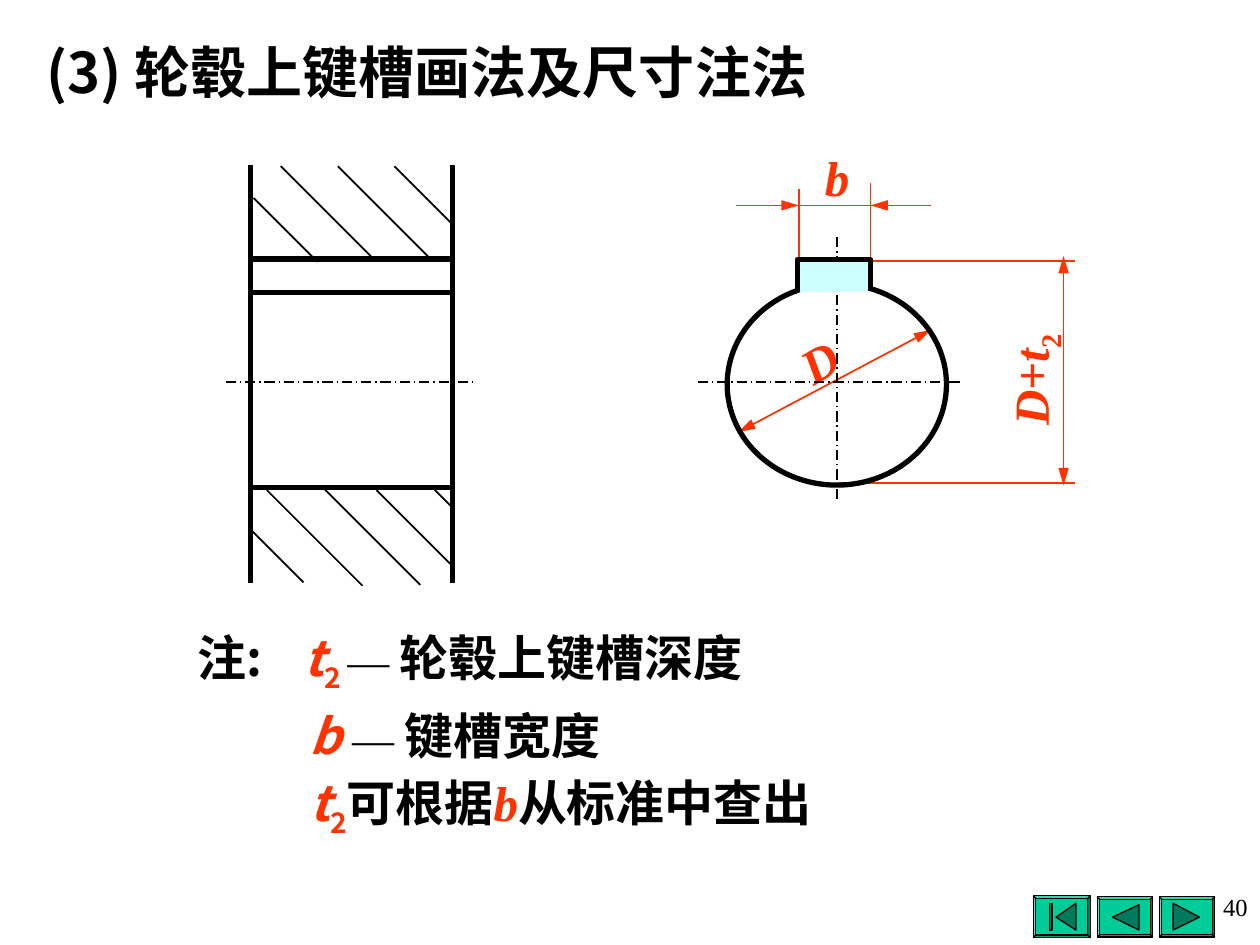
"""Build the slide on drawing and dimensioning a hub keyway."""
from lxml.etree import SubElement
from pptx import Presentation
from pptx.dml.color import RGBColor
from pptx.enum.dml import MSO_LINE
from pptx.enum.shapes import MSO_CONNECTOR, MSO_SHAPE
from pptx.enum.text import MSO_ANCHOR, PP_ALIGN
from pptx.oxml.ns import qn
from pptx.util import Cm, Pt

COLORS = {"ink": "000000", "dimension": "FF3300", "keyway": "CCFFFF",
          "button": "00CC99", "icon": "007A5C"}
COLORS = {name: RGBColor.from_string(value) for name, value in COLORS.items()}
SANS = "Noto Sans CJK SC"
SERIF = "Times New Roman"

deck = Presentation()
deck.slide_width, deck.slide_height = Cm(25.4), Cm(19.05)
page = deck.slides.add_slide(deck.slide_layouts[6])


def add_text(spans, at, align=PP_ALIGN.LEFT, anchor=MSO_ANCHOR.MIDDLE, wrap=True, rotation=0):
    box = page.shapes.add_textbox(*map(Cm, at))
    box.rotation = rotation
    frame = box.text_frame
    frame.word_wrap = wrap
    frame.vertical_anchor = anchor
    para = frame.paragraphs[0]
    para.alignment = align
    for text, style in spans:
        span = para.add_run()
        span.text = text
        font = span.font
        font.name = style.get("font", SANS)
        font.size = Pt(style.get("size", 28))
        font.bold = style.get("bold", True)
        font.italic = style.get("italic", False)
        font.color.rgb = COLORS[style.get("color", "ink")]
        properties = span._r.get_or_add_rPr()
        SubElement(properties, qn("a:ea")).set("typeface", SANS)
        if style.get("subscript"):
            properties.set("baseline", "-25000")


def add_line(start_x, start_y, end_x, end_y, color="ink", width=1, dash=None, arrows=()):
    line = page.shapes.add_connector(
        MSO_CONNECTOR.STRAIGHT, Cm(start_x), Cm(start_y), Cm(end_x), Cm(end_y))
    line.line.color.rgb = COLORS[color]
    line.line.width = Pt(width)
    if dash:
        line.line.dash_style = dash
    for end in arrows:
        arrow = SubElement(line.line._get_or_add_ln(), qn(f"a:{end}"))
        arrow.set("type", "triangle")
        arrow.set("w", "med")
        arrow.set("len", "lg")
    SubElement(line._element.spPr, qn("a:effectLst"))


buttons = [
    ((23.37, 18.08, 1.12, 0.81), [[(23.65, 18.21), (24.18, 18.49), (23.65, 18.75)]]),
    ((22.12, 18.08, 1.12, 0.81), [[(22.43, 18.49), (22.96, 18.24), (22.96, 18.75)]]),
    ((20.83, 18.06, 1.15, 0.84), [
        [(21.29, 18.49), (21.69, 18.21), (21.69, 18.75)],
        [(21.16, 18.21), (21.21, 18.21), (21.21, 18.75), (21.16, 18.75)]]),
]
for at, outlines in buttons:
    button = page.shapes.add_shape(MSO_SHAPE.BEVEL, *map(Cm, at))
    button.adjustments[0] = 0.06
    parts = [(button, "button")]
    for outline in outlines:
        points = [(Cm(x), Cm(y)) for x, y in outline]
        builder = page.shapes.build_freeform(*points[0])
        builder.add_line_segments(points[1:], close=True)
        parts.append((builder.convert_to_shape(), "icon"))
    for part, color in parts:
        part.shadow.inherit = False
        part.fill.solid()
        part.fill.fore_color.rgb = COLORS[color]
        part.line.color.rgb = COLORS["ink"]
        part.line.width = Pt(0.75)

dimension_lines = [
    ((16.1, 5.28, 16.1, 3.81), ()),
    ((17.55, 5.33, 17.55, 3.68), ()),
    ((14.83, 4.14, 18.77, 4.14), ()),
    ((15.7, 4.14, 16.1, 4.14), ("tailEnd",)),
    ((18.14, 4.14, 17.55, 4.14), ("tailEnd",)),
    ((14.88, 8.71, 18.77, 6.65), ("headEnd", "tailEnd")),
    ((16.92, 9.73, 21.67, 9.73), ()),
    ((17.5, 5.26, 21.67, 5.26), ()),
    ((21.44, 5.16, 21.44, 9.78), ("headEnd", "tailEnd")),
]
for ends, arrows in dimension_lines:
    add_line(*ends, color="dimension", arrows=arrows)

red = {"color": "dimension"}
symbol = {"color": "dimension", "italic": True}
serif_symbol = {**symbol, "font": SERIF}
index = {"color": "dimension", "subscript": True}
dash_style = {"font": SERIF, "size": 24, "bold": False}
label = {"align": PP_ALIGN.CENTER, "wrap": False}

add_text([("b", serif_symbol)], (16.38, 2.84, 0.99, 1.45), **label)
add_text([("D", serif_symbol)], (15.9, 6.55, 1.22, 1.45), rotation=329.5, **label)
add_text([("D+t", serif_symbol), ("2", {**index, "font": SERIF})],
         (19.66, 6.86, 2.34, 1.6), rotation=270, **label)
add_text([("(3) ", {"size": 32}), ("轮毂上键槽画法及尺寸注法", {"size": 32, "font": SERIF})],
         (0.69, 0, 22.1, 2.87))
add_text([("t", symbol), ("2", index), ("可根据", {}), ("b", serif_symbol), ("从标准中查出", {})],
         (5.99, 15.52, 16.79, 1.45))
add_text([("b ", symbol), ("— ", dash_style), ("键槽宽度", {})], (5.99, 14.1, 11.02, 1.45))
add_text([("t", symbol), ("2 ", index), ("— ", dash_style), ("轮毂上键槽深度", {})],
         (5.87, 12.52, 9.96, 1.6), wrap=False)
add_text([("注:", {})], (3.73, 12.52, 2.31, 1.45), anchor=MSO_ANCHOR.TOP, wrap=False)
add_text([("40", {"font": SERIF, "size": 14, "bold": False})], (19, 17.86, 6.4, 1.55),
         align=PP_ALIGN.RIGHT, anchor=MSO_ANCHOR.TOP)

hub_left, hub_right = 5.05, 9.12
for x in (hub_left, hub_right):
    add_line(x, 3.33, x, 11.76, width=3)
hatches = [(5.11, 3.99, 1.29), (5.66, 3.35, 1.88), (6.81, 3.35, 1.88), (7.95, 3.35, 1.16),
           (8.69, 9.8, 0.41), (7.59, 9.88, 1.49), (6.48, 9.8, 1.99), (5.38, 9.88, 1.93),
           (5.05, 10.67, 1.07)]
for x, y, reach in hatches:
    add_line(x, y, x + reach, y + reach)
for y in (5.89, 5.22, 9.83):
    add_line(hub_left, y, hub_right, y, width=3)

bore = page.shapes.add_shape(MSO_SHAPE.OVAL, Cm(14.66), Cm(5.72), Cm(4.42), Cm(4.06))
bore.fill.background()
for ends in ((4.55, 7.7, 9.58, 7.7), (16.87, 4.78, 16.87, 10.11), (14.07, 7.7, 19.41, 7.7)):
    add_line(*ends, width=0.75, dash=MSO_LINE.LONG_DASH_DOT)

builder = page.shapes.build_freeform(Cm(16.08), Cm(5.89))
builder.add_line_segments(
    [(Cm(x), Cm(y)) for x, y in ((16.08, 5.23), (17.55, 5.23), (17.55, 5.87))], close=False)
keyway = builder.convert_to_shape()
keyway.fill.solid()
keyway.fill.fore_color.rgb = COLORS["keyway"]
for outline in (bore, keyway):
    outline.shadow.inherit = False
    outline.line.color.rgb = COLORS["ink"]
    outline.line.width = Pt(3)

deck.save("out.pptx")
